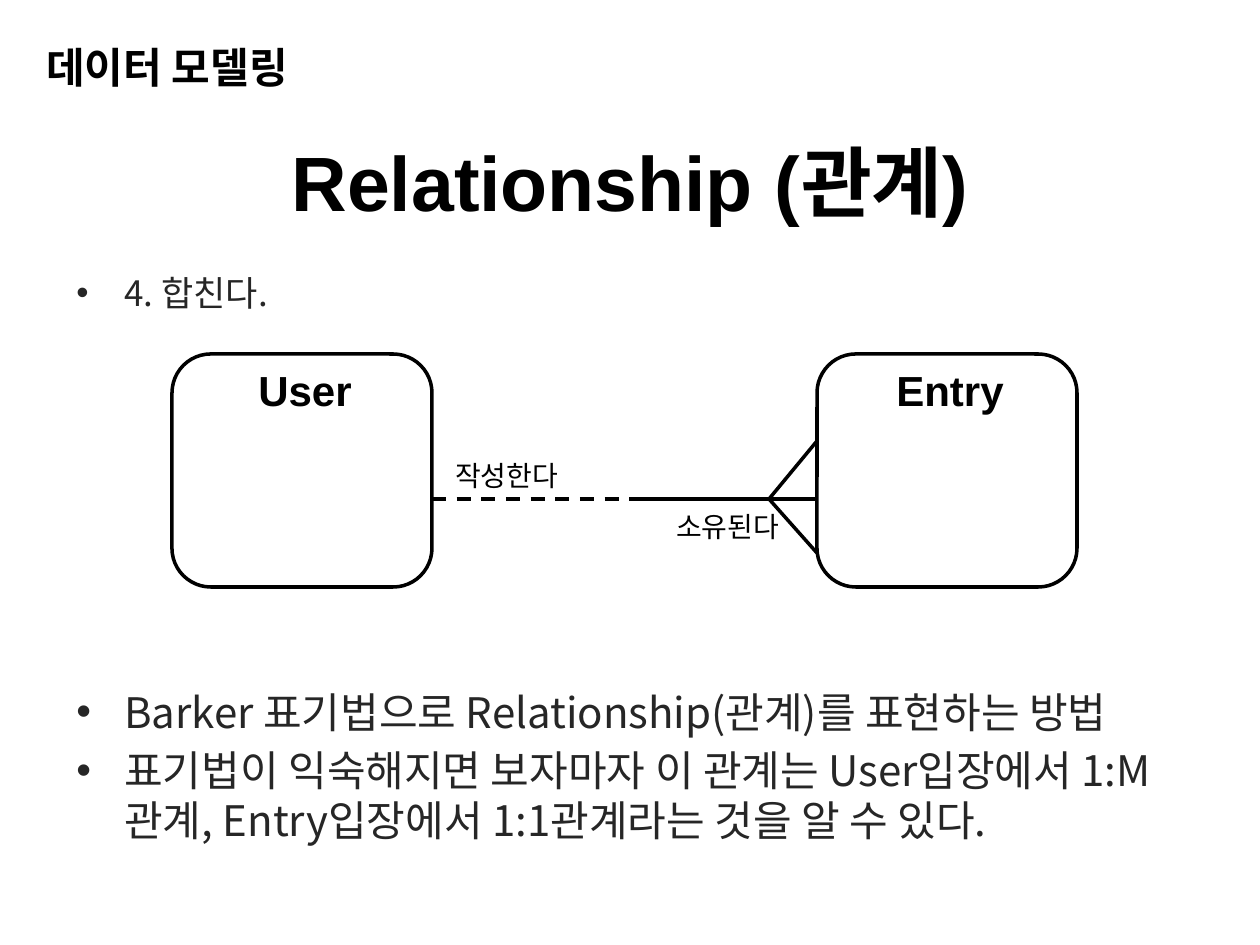
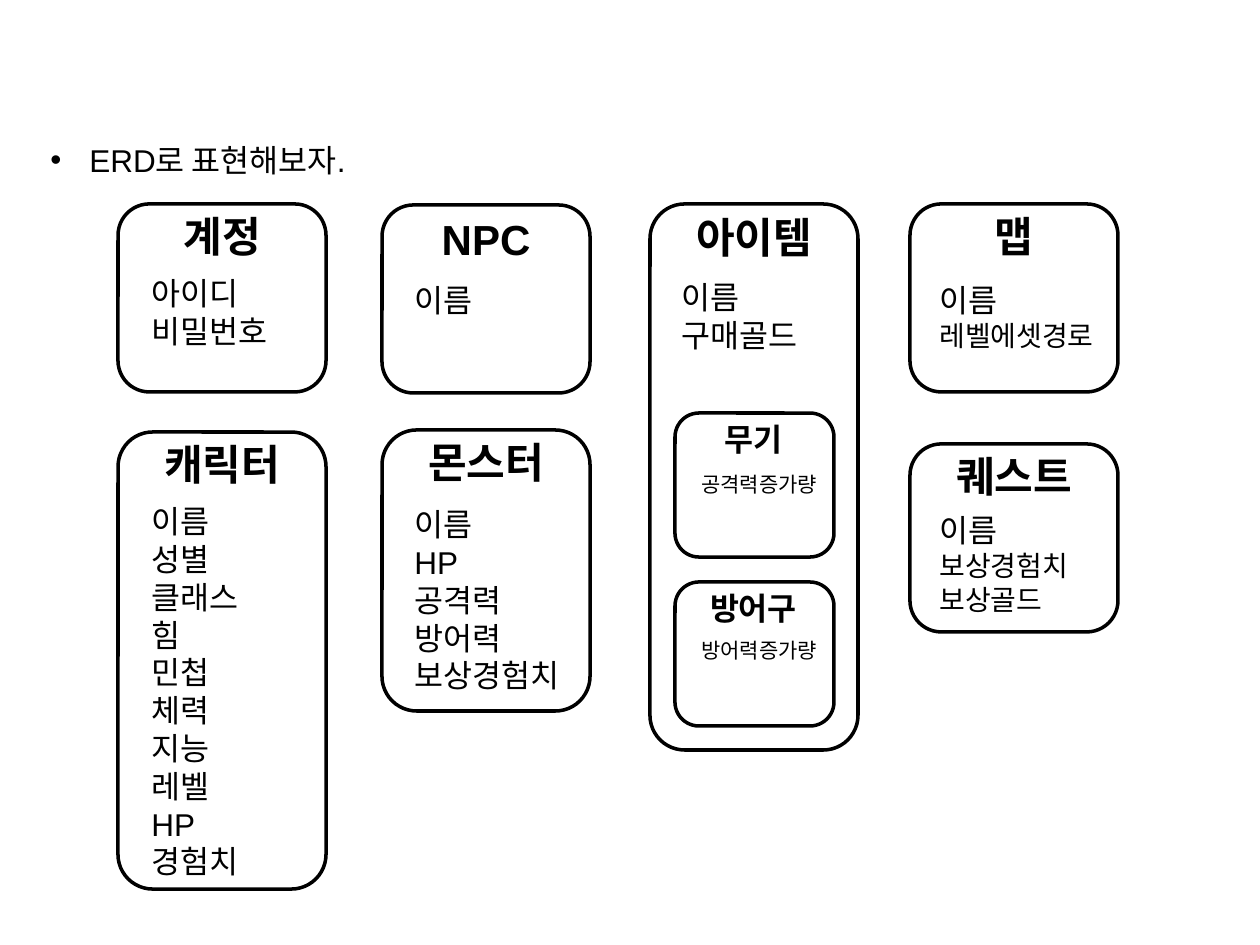
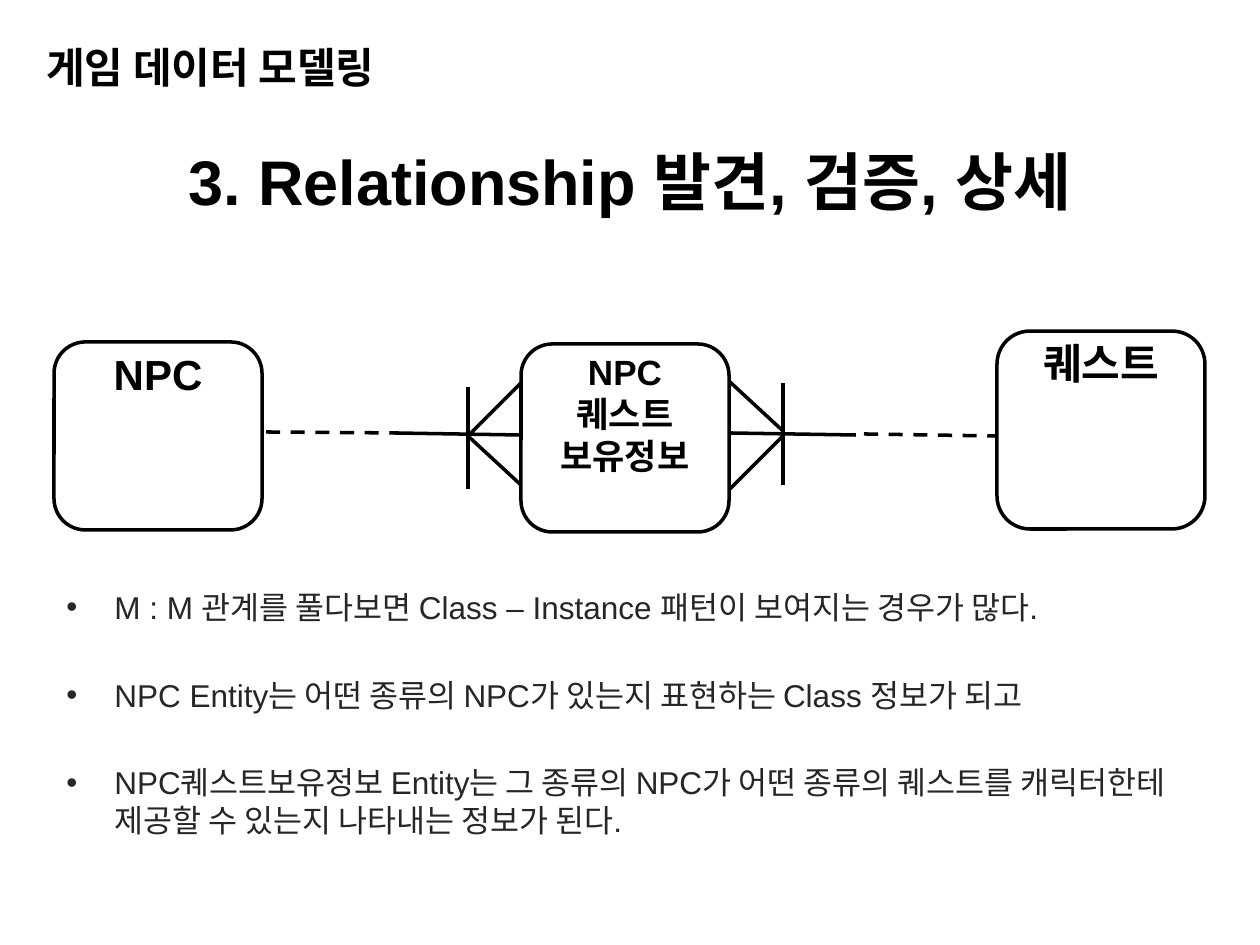
import pptx
import pptx.util
import pptx.dml.color
import pptx.enum.dml
import pptx.enum.shapes
import pptx.enum.text
import pptx.oxml
import pptx.oxml.ns

PX = 914400 / 126
COLORS = {"ink": "000000", "body": "262626", "paper": "FFFFFF"}
LATIN, HANGUL = "Arial", "Noto Sans CJK KR"
LEFT, CENTER = pptx.enum.text.PP_ALIGN.LEFT, pptx.enum.text.PP_ALIGN.CENTER
TITLE_AREA = (0, 106, 1260, 149)
TOPIC_AREA = (34, 35, 576, 69)
ENTITY_WIDTH, ENTITY_HEIGHT = 208, 188
FIELD_WIDTH = 198

RELATIONSHIP = {
    "title": ("Relationship (관계)", 44),
    "topic": "데이터 모델링",
    "entities": [
        {"name": ["User"], "at": (172, 354, 260, 233), "name_offset": (29, 4)},
        {"name": ["Entry"], "at": (817, 354, 260, 233), "name_offset": (29, 4)},
    ],
    "solid": [(817, 499, 640, 499), (769, 499, 817, 441), (769, 499, 817, 553)],
    "dashed": [(432, 499, 640, 499)],
    "labels": [("작성한다", (432, 452, 149, 47)), ("소유된다", (650, 503, 155, 47))],
    "bullets": [
        {"lines": ["4. 합친다."], "at": (64, 265, 1131, 59), "size": 20,
         "latin": HANGUL, "color": "body", "indent": 48},
        {"lines": [
            "Barker 표기법으로 Relationship(관계)를 표현하는 방법",
            "표기법이 익숙해지면 보자마자 이 관계는 User입장에서 1:M 관계, "
            "Entry입장에서 1:1관계라는 것을 알 수 있다."],
         "at": (64, 680, 1131, 189), "size": 24, "latin": HANGUL,
         "color": "body", "indent": 48, "gap": 4.5},
    ],
}

GAME_ENTITIES = {
    "entities": [
        {"name": ["계정"], "at": (118, 204), "fields": ["아이디", "비밀번호"],
         "fields_offset": (21, 64)},
        {"name": ["캐릭터"], "at": (118, 432, ENTITY_WIDTH, 457),
         "fields": ["이름", "성별", "클래스", "힘", "민첩", "체력", "지능", "레벨", "HP", "경험치"],
         "fields_offset": (21, 64)},
        {"name": ["NPC"], "at": (382, 205), "name_offset": (0, 2),
         "fields": ["이름"], "fields_offset": (20, 70)},
        {"name": ["몬스터"], "at": (382, 430, ENTITY_WIDTH, 281),
         "fields": ["이름", "HP", "공격력", "방어력", "보상경험치"], "fields_offset": (20, 69)},
        {"name": ["아이템"], "at": (650, 204, ENTITY_WIDTH, 546), "name_offset": (0, 1),
         "fields": ["이름", "구매골드"], "fields_offset": (19, 68)},
        {"name": ["무기"], "at": (675, 413, 159, 144), "name_size": 18,
         "name_offset": (-1, 1), "name_width": 159,
         "fields": ["공격력증가량"], "fields_offset": (14, 52), "field_sizes": (12, 12)},
        {"name": ["방어구"], "at": (675, 582, 159, 144), "name_size": 18,
         "name_offset": (-1, 1), "name_width": 159,
         "fields": ["방어력증가량"], "fields_offset": (14, 49), "field_sizes": (12, 12)},
        {"name": ["맵"], "at": (910, 204), "fields": ["이름", "레벨에셋경로"],
         "fields_offset": (17, 71), "field_sizes": (18, 16)},
        {"name": ["퀘스트"], "at": (910, 444), "fields": ["이름", "보상경험치", "보상골드"],
         "fields_offset": (17, 61), "field_sizes": (18, 16)},
    ],
    "bullets": [
        {"lines": ["ERD로 표현해보자."], "at": (38, 135, 915, 50), "size": 18, "indent": 39},
    ],
}

QUEST_RELATIONSHIP = {
    "title": ("3. Relationship 발견, 검증, 상세", 36),
    "topic": "게임 데이터 모델링",
    "entities": [
        {"name": ["NPC"], "at": (54, 342)},
        {"name": ["퀘스트"], "at": (997, 331, ENTITY_WIDTH, 198)},
        {"name": ["NPC", "퀘스트", "보유정보"], "at": (521, 344), "name_size": 20},
    ],
    "solid": [
        (468, 436, 521, 383), (468, 436, 521, 485),
        (730, 489, 783, 436), (730, 382, 783, 431),
        (521, 435, 394, 433), (856, 435, 730, 433),
        (783, 485, 783, 383), (468, 489, 468, 387),
    ],
    "dashed": [(266, 432, 399, 433), (864, 434, 997, 436)],
    "bullets": [
        {"lines": [
            "M : M 관계를 풀다보면 Class – Instance 패턴이 보여지는 경우가 많다.",
            "NPC Entity는 어떤 종류의 NPC가 있는지 표현하는 Class 정보가 되고",
            "NPC퀘스트보유정보 Entity는 그 종류의 NPC가 어떤 종류의 퀘스트를 "
            "캐릭터한테 제공할 수 있는지 나타내는 정보가 된다."],
         "at": (54, 582, 1142, 307), "size": 18, "color": "body", "indent": 48, "gap": 28.5},
    ],
}


def emu(*lengths):
    return [round(length * PX) for length in lengths]


def rgb(color):
    return pptx.dml.color.RGBColor.from_string(COLORS[color])


def apply(target, values):
    for key, value in values.items():
        setattr(target, key, value)


def add_element(parent, tag, **attributes):
    element = pptx.oxml.parse_xml(f"<a:{tag} {pptx.oxml.ns.nsdecls('a')}/>")
    for key, value in attributes.items():
        element.set(key, str(value))
    parent.append(element)


def write(frame, lines, sizes, bold=False, align=LEFT, color="ink", latin=LATIN,
          indent=0, gap=0, anchor=pptx.enum.text.MSO_ANCHOR.TOP):
    apply(frame, {"word_wrap": True, "vertical_anchor": anchor,
                  "auto_size": pptx.enum.text.MSO_AUTO_SIZE.NONE})
    for index, line in enumerate(lines):
        paragraph = frame.add_paragraph() if index else frame.paragraphs[0]
        apply(paragraph, {"alignment": align,
                          "space_before": pptx.util.Pt(gap if index else 0)})
        if indent:
            margin = emu(indent)[0]
            properties = paragraph._p.get_or_add_pPr()
            apply(properties, {})
            properties.set("marL", str(margin))
            properties.set("indent", str(-margin))
            add_element(properties, "buFont", typeface=LATIN)
            add_element(properties, "buChar", char="•")
        run = paragraph.add_run()
        run.text = line
        size = sizes[min(index, len(sizes) - 1)]
        apply(run.font, {"size": pptx.util.Pt(size), "bold": bold, "name": latin})
        run.font.color.rgb = rgb(color)
        add_element(run._r.get_or_add_rPr(), "ea", typeface=HANGUL)


def add_text(slide, area, lines, sizes, **style):
    write(slide.shapes.add_textbox(*emu(*area)).text_frame, lines, sizes, **style)


def add_entity(slide, entity):
    left, top, width, height = (*entity["at"], ENTITY_WIDTH, ENTITY_HEIGHT)[:4]
    outline = slide.shapes.add_shape(
        pptx.enum.shapes.MSO_SHAPE.ROUNDED_RECTANGLE, *emu(left, top, width, height))
    outline.shadow.inherit = False
    outline.fill.background()
    outline.line.color.rgb = rgb("ink")
    outline.line.width = pptx.util.Pt(2)

    size = entity.get("name_size", 24)
    across, down = entity.get("name_offset", (0, 0))
    name_width = entity.get("name_width", ENTITY_WIDTH)
    name_height = 13 + 42 * len(entity["name"])
    add_text(slide, (left + across, top + down, name_width, name_height),
             entity["name"], (size,), bold=True, align=CENTER)
    if "fields" in entity:
        across, down = entity["fields_offset"]
        add_text(slide, (left + across, top + down, FIELD_WIDTH, 12 + 38 * len(entity["fields"])),
                 entity["fields"], entity.get("field_sizes", (18,)))


def add_relation(slide, ends, dashed):
    relation = slide.shapes.add_connector(
        pptx.enum.shapes.MSO_CONNECTOR.STRAIGHT, *emu(*ends))
    relation.line.color.rgb = rgb("ink")
    relation.line.width = pptx.util.Pt(2)
    if dashed:
        relation.line.dash_style = pptx.enum.dml.MSO_LINE.DASH
    add_element(relation._element.spPr, "effectLst")


def add_slide(deck, content):
    slide = deck.slides.add_slide(deck.slide_layouts[5 if "title" in content else 6])
    slide.background.fill.solid()
    slide.background.fill.fore_color.rgb = rgb("paper")
    if "title" in content:
        title, size = content["title"]
        heading = slide.shapes.title
        apply(heading, dict(zip(("left", "top", "width", "height"), emu(*TITLE_AREA))))
        write(heading.text_frame, [title], (size,), bold=True, align=CENTER,
              anchor=pptx.enum.text.MSO_ANCHOR.MIDDLE)
        add_text(slide, TOPIC_AREA, [content["topic"]], (24,), bold=True)
    for entity in content["entities"]:
        add_entity(slide, entity)
    for kind in ("solid", "dashed"):
        for ends in content.get(kind, []):
            add_relation(slide, ends, kind == "dashed")
    for label, area in content.get("labels", []):
        add_text(slide, area, [label], (16,), align=CENTER)
    for bullet in content["bullets"]:
        add_text(slide, bullet["at"], bullet["lines"], (bullet["size"],),
                 latin=bullet.get("latin", LATIN), color=bullet.get("color", "ink"),
                 indent=bullet["indent"], gap=bullet.get("gap", 0))


def main():
    deck = pptx.Presentation()
    apply(deck, dict(zip(("slide_width", "slide_height"), emu(1260, 945))))
    for content in (RELATIONSHIP, GAME_ENTITIES, QUEST_RELATIONSHIP):
        add_slide(deck, content)
    deck.save("out.pptx")


if __name__ == "__main__":
    main()
